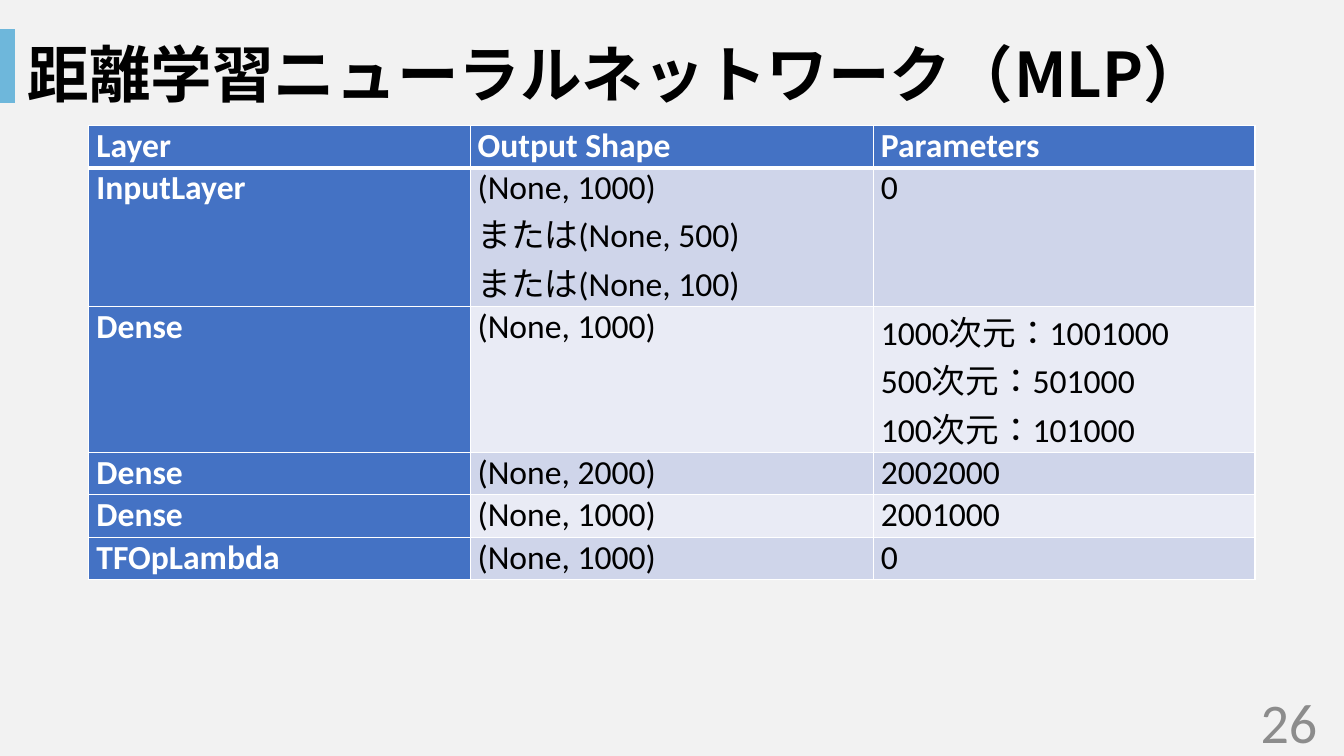
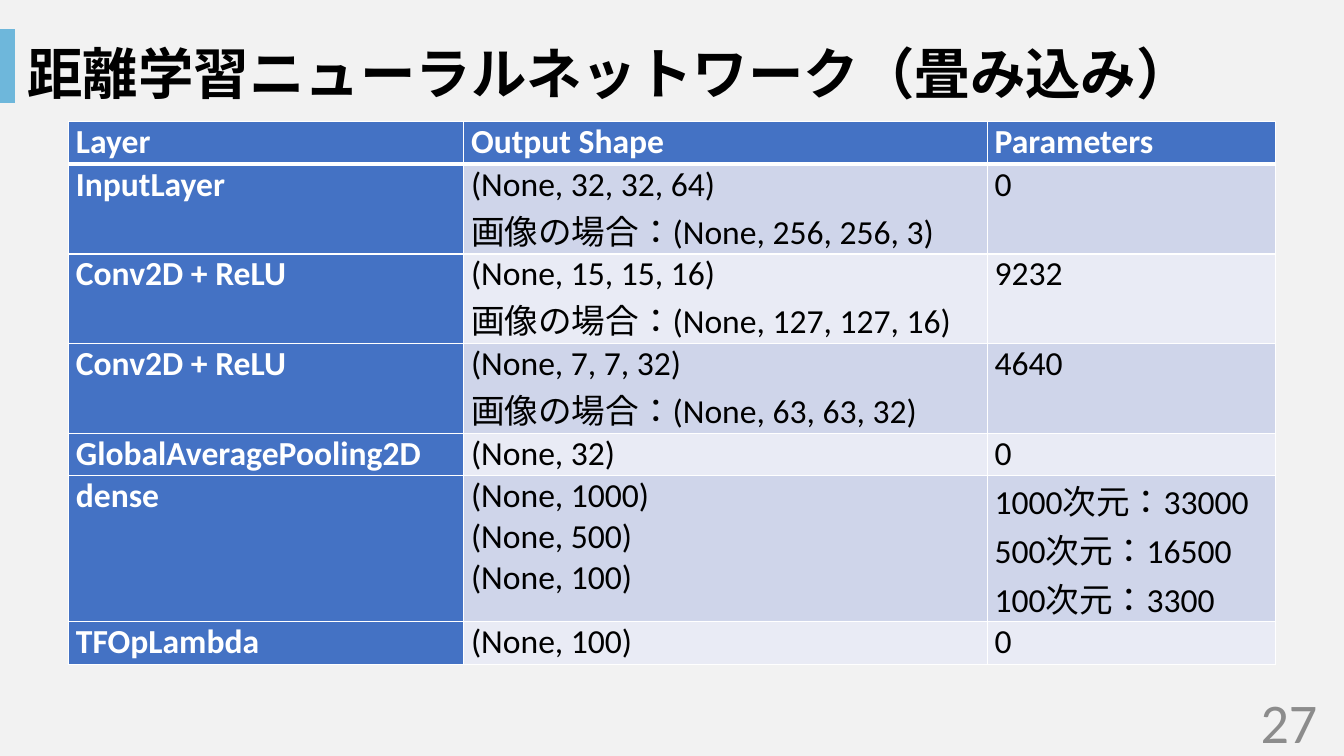
from dataclasses import dataclass

from lxml.etree import SubElement
from pptx import Presentation
from pptx.dml.color import RGBColor
from pptx.enum.lang import MSO_LANGUAGE_ID
from pptx.enum.shapes import MSO_SHAPE
from pptx.enum.text import MSO_ANCHOR, PP_ALIGN
from pptx.oxml.ns import qn
from pptx.slide import Slide
from pptx.table import _Cell
from pptx.text.text import TextFrame
from pptx.util import Pt

BACKGROUND = RGBColor(0xF2, 0xF2, 0xF2)
ACCENT = RGBColor(0x6E, 0xB7, 0xDB)
HEADING_FILL = RGBColor(0x44, 0x72, 0xC4)
BANDS = (RGBColor(0xCF, 0xD5, 0xEA), RGBColor(0xE9, 0xEB, 0xF5))
BLACK = RGBColor(0, 0, 0)
WHITE = RGBColor(0xFF, 0xFF, 0xFF)
NUMBER_GRAY = RGBColor(0x8C, 0x8C, 0x8C)

LATIN_FONT = "Calibri"
JAPANESE_FONT = "Noto Sans CJK JP"

SLIDE_WIDTH, SLIDE_HEIGHT = 960, 540
LATIN_LINE, JAPANESE_LINE = 29.3, 34.8
MIN_ROW_HEIGHT = 30.3
CELL_MARGIN = 5.4
HEADINGS = ("Layer", "Output Shape", "Parameters")


@dataclass(frozen=True)
class TextStyle:
    size: float
    color: RGBColor
    bold: bool = False
    font: str = LATIN_FONT
    align: PP_ALIGN = PP_ALIGN.LEFT


@dataclass(frozen=True)
class Layer:
    """One table row; a line break starts a new paragraph."""
    name: str
    shape: str
    parameters: str

    def cells(self) -> tuple[str, str, str]:
        return self.name, self.shape, self.parameters


@dataclass(frozen=True)
class Network:
    title: str
    title_size: float
    title_width: float
    number: int
    table_top: float
    column_widths: tuple[float, float, float]
    layers: tuple[Layer, ...]


HEADING_STYLE = TextStyle(24, WHITE, bold=True, align=PP_ALIGN.JUSTIFY)
BODY_STYLE = TextStyle(24, BLACK, align=PP_ALIGN.JUSTIFY)
NUMBER_STYLE = TextStyle(40, NUMBER_GRAY, align=PP_ALIGN.RIGHT)

NETWORKS = (
    Network(
        "距離学習ニューラルネットワーク（MLP）", 44, 908.6, 26, 89.6,
        (272.3, 288, 272.7),
        (
            Layer("InputLayer",
                  "(None, 1000)\nまたは(None, 500)\nまたは(None, 100)", "0"),
            Layer("Dense", "(None, 1000)",
                  "1000次元：1001000\n500次元：501000\n100次元：101000"),
            Layer("Dense", "(None, 2000)", "2002000"),
            Layer("Dense", "(None, 1000)", "2001000"),
            Layer("TFOpLambda", "(None, 1000)", "0"),
        ),
    ),
    Network(
        "距離学習ニューラルネットワーク（畳み込み）", 39.6, 924.5, 27, 87,
        (282.3, 374, 206),
        (
            Layer("InputLayer",
                  "(None, 32, 32, 64)\n画像の場合：(None, 256, 256, 3)", "0"),
            Layer("Conv2D + ReLU",
                  "(None, 15, 15, 16)\n画像の場合：(None, 127, 127, 16)", "9232"),
            Layer("Conv2D + ReLU",
                  "(None, 7, 7, 32)\n画像の場合：(None, 63, 63, 32)", "4640"),
            Layer("GlobalAveragePooling2D", "(None, 32)", "0"),
            Layer("dense", "(None, 1000)\n(None, 500)\n(None, 100)",
                  "1000次元：33000\n500次元：16500\n100次元：3300"),
            Layer("TFOpLambda", "(None, 100)", "0"),
        ),
    ),
)


def write(frame: TextFrame, text: str, style: TextStyle) -> None:
    for index, line in enumerate(text.split("\n")):
        paragraph = frame.add_paragraph() if index else frame.paragraphs[0]
        paragraph.alignment = style.align
        run = paragraph.add_run()
        run.text = line
        run.font.size = Pt(style.size)
        run.font.bold = style.bold
        run.font.color.rgb = style.color
        run.font.name = style.font
        run.font.language_id = MSO_LANGUAGE_ID.JAPANESE
        east_asian = SubElement(run.font._element, qn("a:ea"))
        east_asian.set("typeface", JAPANESE_FONT)


def add_label(slide: Slide, left: float, top: float, width: float,
              height: float, text: str, style: TextStyle) -> None:
    frame = slide.shapes.add_textbox(
        Pt(left), Pt(top), Pt(width), Pt(height)).text_frame
    frame.word_wrap = True
    frame.vertical_anchor = MSO_ANCHOR.MIDDLE
    write(frame, text, style)


def add_accent_bar(slide: Slide) -> None:
    bar = slide.shapes.add_shape(
        MSO_SHAPE.RECTANGLE, 0, Pt(20.9), Pt(10.6), Pt(52.6))
    bar.shadow.inherit = False
    bar.fill.solid()
    bar.fill.fore_color.rgb = ACCENT
    bar.line.fill.background()


def add_borders(cell: _Cell, is_header: bool) -> None:
    """Draw white edges; the header alone owns a top edge and a thick rule."""
    edges = {"lnL": 1, "lnR": 1}
    if is_header:
        edges["lnT"] = 1
    edges["lnB"] = 3 if is_header else 1
    properties = cell._tc.get_or_add_tcPr()
    for edge, width in edges.items():
        border = SubElement(properties, qn(f"a:{edge}"), w=str(Pt(width)))
        fill = SubElement(border, qn("a:solidFill"))
        SubElement(fill, qn("a:srgbClr"), val=str(WHITE))


def fill_cell(cell: _Cell, text: str, row: int, column: int) -> None:
    is_heading = row == 0 or column == 0
    cell.margin_left = cell.margin_right = Pt(CELL_MARGIN)
    cell.margin_top = cell.margin_bottom = 0
    add_borders(cell, row == 0)
    cell.fill.solid()
    cell.fill.fore_color.rgb = (
        HEADING_FILL if is_heading else BANDS[(row - 1) % len(BANDS)])
    write(cell.text_frame, text, HEADING_STYLE if is_heading else BODY_STYLE)


def text_height(text: str) -> float:
    """Add up the lines; those with Japanese characters are taller."""
    return sum(LATIN_LINE if line.isascii() else JAPANESE_LINE
               for line in text.split("\n"))


def add_layer_table(slide: Slide, network: Network) -> None:
    rows = [HEADINGS, *(layer.cells() for layer in network.layers)]
    heights = [max(MIN_ROW_HEIGHT, *map(text_height, row)) for row in rows]
    width = sum(network.column_widths)
    table = slide.shapes.add_table(
        len(rows), len(HEADINGS), Pt((SLIDE_WIDTH - width) / 2),
        Pt(network.table_top), Pt(width), Pt(sum(heights))).table
    table.first_col = True
    for column, column_width in zip(table.columns, network.column_widths):
        column.width = Pt(column_width)
    for row, (texts, height) in enumerate(zip(rows, heights)):
        table.rows[row].height = Pt(height)
        for column, text in enumerate(texts):
            fill_cell(table.cell(row, column), text, row, column)


def add_network_slide(slide: Slide, network: Network) -> None:
    title_style = TextStyle(
        network.title_size, BLACK, bold=True, font=JAPANESE_FONT)
    add_label(slide, 12.6, 21.6, network.title_width, 60.5,
              network.title, title_style)
    add_accent_bar(slide)
    add_label(slide, 732, 500.5, 216, 28.8, str(network.number), NUMBER_STYLE)
    add_layer_table(slide, network)


def main() -> None:
    deck = Presentation()
    deck.slide_width, deck.slide_height = Pt(SLIDE_WIDTH), Pt(SLIDE_HEIGHT)
    background = deck.slide_master.background.fill
    background.solid()
    background.fore_color.rgb = BACKGROUND
    blank = deck.slide_layouts[6]
    for network in NETWORKS:
        add_network_slide(deck.slides.add_slide(blank), network)
    deck.save("out.pptx")


if __name__ == "__main__":
    main()
